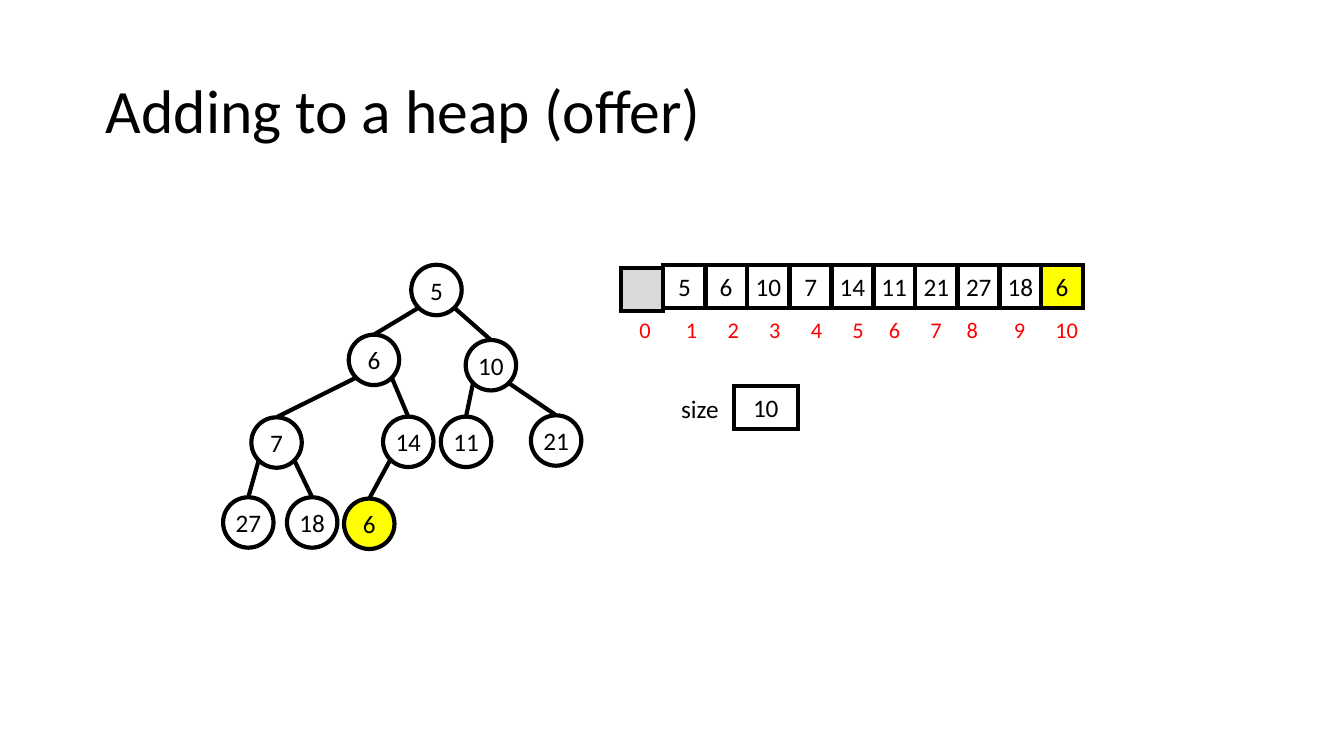
from lxml import etree
from pptx import Presentation
from pptx import util as u
from pptx.dml.color import RGBColor
from pptx.enum import shapes, text
from pptx.oxml.ns import qn

BLACK = RGBColor(0x00, 0x00, 0x00)
RED = RGBColor(0xFF, 0x00, 0x00)
YELLOW = RGBColor(0xFF, 0xFF, 0x00)
GRAY = RGBColor(0xD9, 0xD9, 0xD9)

EMU_PER_PX = 4572
NODE = 75
EDGE_INSET = 11
CELL_WIDTH = 63
CELL_HEIGHT = 64
CELL_PITCH = 62.5
ARRAY_LEFT = 987
ARRAY_TOP = 394

HEAP = [
    (5, 612, 394),
    (6, 519, 498), (10, 693, 506),
    (7, 374, 621), (14, 570, 620), (11, 656, 620), (21, 790, 618),
    (27, 332, 740), (18, 427, 740), (6, 512, 742),
]
INDEX_TABS = [69, 131, 193, 255, 317, 371, 433, 487, 557, 619]


def px(length):
    return u.Emu(length * EMU_PER_PX)


class SlideBuilder:
    font = "Calibri"
    line_width = u.Pt(2.25)

    def __init__(self, slide):
        self.slide = slide

    def add_run(self, paragraph, content, size, color=BLACK):
        run = paragraph.add_run()
        run.text = content
        run.font.name = self.font
        run.font.size = u.Pt(size)
        run.font.color.rgb = color

    def stroke(self, line):
        line.color.rgb = BLACK
        line.width = self.line_width

    def label(self, content, left, top, width, height, size=13.5,
              color=BLACK, wrap=True, anchor=text.MSO_ANCHOR.TOP, tabs=()):
        box = self.slide.shapes.add_textbox(px(left), px(top), px(width), px(height))
        frame = box.text_frame
        frame.word_wrap = wrap
        frame.vertical_anchor = anchor
        paragraph = frame.paragraphs[0]
        if tabs:
            properties = paragraph._p.get_or_add_pPr()
            tab_list = etree.SubElement(properties, qn("a:tabLst"))
            for position in tabs:
                etree.SubElement(tab_list, qn("a:tab"), pos=str(px(position)), algn="l")
        self.add_run(paragraph, content, size, color)
        return paragraph

    def block(self, kind, content, left, top, width, height, fill=None):
        shape = self.slide.shapes.add_shape(kind, px(left), px(top), px(width), px(height))
        shape.shadow.inherit = False
        if fill is None:
            shape.fill.background()
        else:
            shape.fill.solid()
            shape.fill.fore_color.rgb = fill
        self.stroke(shape.line)
        etree.SubElement(shape.line._get_or_add_ln(), qn("a:miter"), lim="800000")
        frame = shape.text_frame
        frame.margin_left = frame.margin_right = 0
        frame.vertical_anchor = text.MSO_ANCHOR.MIDDLE
        if content:
            paragraph = frame.paragraphs[0]
            paragraph.alignment = text.PP_ALIGN.CENTER
            self.add_run(paragraph, content, 13.5)
        return shape

    def node(self, content, left, top, fill=None):
        return self.block(shapes.MSO_SHAPE.OVAL, content, left, top, NODE, NODE, fill)

    def cell(self, content, left, top, width=CELL_WIDTH, fill=None):
        return self.block(shapes.MSO_SHAPE.RECTANGLE, content, left, top,
                          width, CELL_HEIGHT, fill)

    def edge(self, parent, child, is_left):
        start_x = parent.left + px(EDGE_INSET if is_left else NODE - EDGE_INSET)
        start_y = parent.top + px(NODE - EDGE_INSET)
        connector = self.slide.shapes.add_connector(
            shapes.MSO_CONNECTOR.STRAIGHT, start_x, start_y,
            child.left + child.width // 2, child.top)
        connector.end_connect(child, 0)
        self.stroke(connector.line)
        etree.SubElement(connector._element.spPr, qn("a:effectLst"))


def main():
    presentation = Presentation()
    presentation.slide_width = px(2000)
    presentation.slide_height = px(1125)
    slide = presentation.slides.add_slide(presentation.slide_layouts[6])
    builder = SlideBuilder(slide)

    title = builder.label("Adding to a heap (offer)", 138, 60, 1725, 217, size=33,
                          anchor=text.MSO_ANCHOR.MIDDLE)
    title.line_spacing = 0.9

    last = len(HEAP) - 1
    nodes = [builder.node(str(value), left, top, YELLOW if i == last else None)
             for i, (value, left, top) in enumerate(HEAP)]
    for i in range(1, len(nodes)):
        builder.edge(nodes[(i - 1) // 2], nodes[i], i % 2 == 1)

    builder.label("size", 994, 576, 106, 66, wrap=False)
    builder.cell(str(len(HEAP)), 1092, 574, width=95)

    indexes = "\t".join(str(i) for i in range(len(HEAP) + 1))
    builder.label(indexes, 932, 461, 706, 60, size=12, color=RED, tabs=INDEX_TABS)

    for i, (value, _, _) in enumerate(HEAP):
        builder.cell(str(value), ARRAY_LEFT + round(i * CELL_PITCH), ARRAY_TOP,
                     fill=YELLOW if i == last else None)
    builder.cell("", 924, 399, fill=GRAY)

    presentation.save("out.pptx")


if __name__ == "__main__":
    main()
